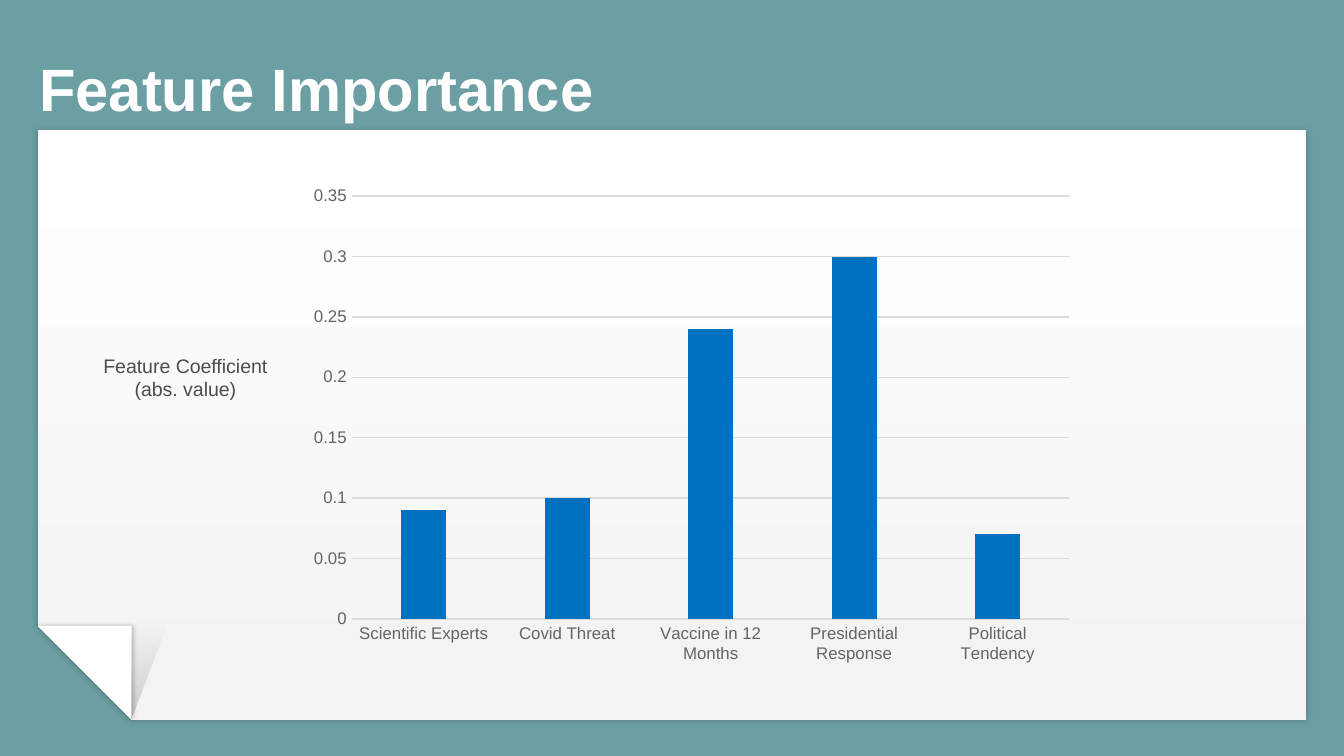
from lxml import etree
from pptx import Presentation
from pptx import util as u
from pptx.chart import data
from pptx.dml.color import RGBColor
from pptx.enum import chart as ch
from pptx.enum import shapes, text
from pptx.oxml import parse_xml
from pptx.oxml import ns

PX = 9525
FONT = "Arial"
TEAL = RGBColor(0x6B, 0x9F, 0xA4)
WHITE = RGBColor(0xFF, 0xFF, 0xFF)
PALE = RGBColor(0xF3, 0xF3, 0xF3)
BLACK = RGBColor(0, 0, 0)
BLUE = RGBColor(0x00, 0x70, 0xC0)
GRID = RGBColor(0xDB, 0xDB, 0xDB)
AXIS = RGBColor(0x64, 0x64, 0x64)
LABEL = RGBColor(0x4D, 0x4D, 0x4D)


def px(*lengths):
    return [u.Emu(n * PX) for n in lengths]


def style(font, size, color, bold=False):
    font.name, font.size, font.bold = FONT, u.Pt(size), bold
    font.color.rgb = color


def plain_shape(s, kind, box):
    sp = s.shapes.add_shape(kind, *px(*box))
    sp.rotation = 180
    sp.shadow.inherit = False
    sp.fill.solid()
    sp.fill.fore_color.rgb = WHITE
    sp.line.fill.background()
    return sp


def set_gradient(sp, stops, angle):
    gs = "".join(
        f'<a:gs pos="{pos * 1000}"><a:srgbClr val="{color}">'
        f'<a:alpha val="{alpha * 1000}"/></a:srgbClr></a:gs>'
        for pos, color, alpha in stops)
    grad = parse_xml(
        f'<a:gradFill {ns.nsdecls("a")} rotWithShape="1"><a:gsLst>{gs}</a:gsLst>'
        f'<a:lin ang="{angle * 60000}" scaled="0"/></a:gradFill>')
    sppr = sp._element.spPr
    sppr.replace(sppr.find(ns.qn("a:solidFill")), grad)


def set_shadow(sp, blur, angle):
    effects = sp._element.spPr.find(ns.qn("a:effectLst"))
    shadow = etree.SubElement(
        effects, ns.qn("a:outerShdw"), blurRad=str(u.Pt(blur)),
        dist=str(u.Pt(0.8)), dir=str(angle * 60000), rotWithShape="0")
    color = etree.SubElement(shadow, ns.qn("a:srgbClr"), val=str(BLACK))
    etree.SubElement(color, ns.qn("a:alpha"), val="20000")


def add_paper(s, x, y, w, h):
    fold, shade = 67, 25
    fold_y = y + h - fold
    page = plain_shape(s, shapes.MSO_SHAPE.SNIP_1_RECTANGLE, (x, y, w, h))
    page.adjustments[0] = fold / h
    set_gradient(page, [(0, WHITE, 100), (100, PALE, 100)], 270)
    set_shadow(page, 3.4, 90)

    corner = plain_shape(s, shapes.MSO_SHAPE.RIGHT_TRIANGLE, (x, fold_y, fold, fold))
    set_shadow(corner, 2.2, 0)

    crease = plain_shape(s, shapes.MSO_SHAPE.RIGHT_TRIANGLE,
                         (x + fold, fold_y - 1, shade, fold))
    crease._element.spPr.find(ns.qn("a:xfrm")).set("flipH", "1")
    set_gradient(crease, [(0, BLACK, 17), (100, BLACK, 0)], 90)


def add_title(s, x, y, w, h):
    title = s.shapes.title
    title.left, title.top, title.width, title.height = px(x, y, w, h)
    tf = title.text_frame
    tf.margin_left = tf.margin_right = tf.margin_top = tf.margin_bottom = 0
    tf.vertical_anchor = text.MSO_ANCHOR.BOTTOM
    p = tf.paragraphs[0]
    p.text = "Feature Importance"
    p.alignment = text.PP_ALIGN.LEFT
    style(p.font, 32, WHITE, True)


def add_importance_chart(s, x, y, w, h):
    cd = data.CategoryChartData()
    cd.categories = ["Scientific Experts", "Covid Threat", "Vaccine in 12 Months",
                     "Presidential Response", "Political Tendency"]
    cd.add_series("Series 1", [0.09, 0.1, 0.24, 0.3, 0.07])
    chart = s.shapes.add_chart(
        ch.XL_CHART_TYPE.COLUMN_CLUSTERED, *px(x, y, w, h), cd).chart
    chart.has_legend = chart.has_title = False
    style(chart.font, 10, AXIS)
    plot = chart.plots[0]
    plot.vary_by_categories = False
    plot.gap_width, plot.overlap = 219, -27
    fill = plot.series[0].format.fill
    fill.solid()
    fill.fore_color.rgb = BLUE

    cats, values = chart.category_axis, chart.value_axis
    for axis in (cats, values):
        axis.major_tick_mark = axis.minor_tick_mark = ch.XL_TICK_MARK.NONE
        style(axis.tick_labels.font, 9, AXIS)
    values.minimum_scale, values.maximum_scale = 0, 0.35
    values.major_unit = 0.05
    values.format.line.fill.background()
    for line in (cats.format.line, values.major_gridlines.format.line):
        line.color.rgb = GRID
        line.width = u.Pt(0.75)


def add_axis_label(s, x, y, w, h):
    tf = s.shapes.add_textbox(*px(x, y, w, h)).text_frame
    tf.word_wrap = True
    tf.auto_size = text.MSO_AUTO_SIZE.SHAPE_TO_FIT_TEXT
    p = tf.paragraphs[0]
    p.text = "Feature Coefficient (abs. value)"
    p.alignment = text.PP_ALIGN.CENTER
    style(p.font, 10.5, LABEL)


def main():
    prs = Presentation()
    prs.slide_width, prs.slide_height = px(960, 540)
    s = prs.slides.add_slide(prs.slide_layouts[5])
    s.background.fill.solid()
    s.background.fill.fore_color.rgb = TEAL
    add_paper(s, 27, 93, 906, 421)
    add_title(s, 28, 14, 900, 74)
    add_importance_chart(s, 213, 126, 562, 355)
    add_axis_label(s, 53, 248, 159, 43)
    prs.save("out.pptx")


if __name__ == "__main__":
    main()
